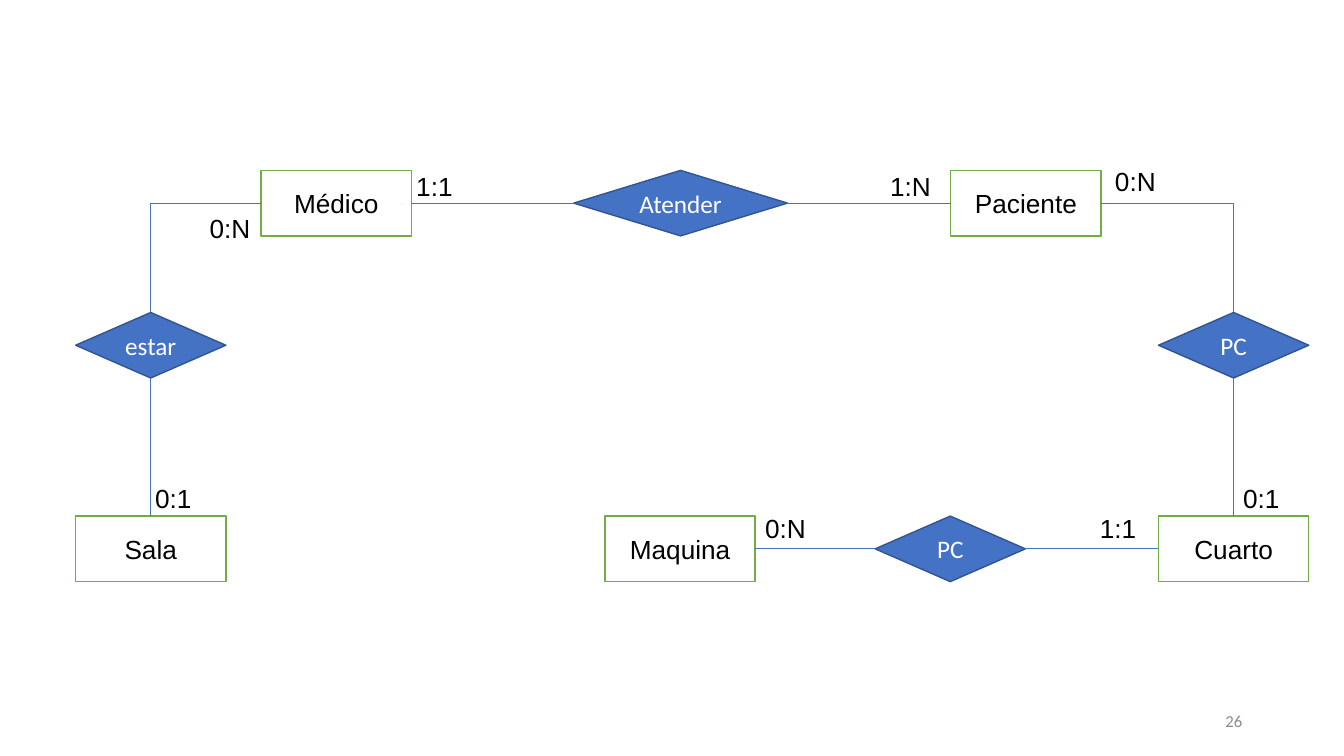
from lxml import etree
from pptx import Presentation
from pptx.dml.color import RGBColor
from pptx.enum.shapes import MSO_CONNECTOR, MSO_SHAPE
from pptx.enum.text import MSO_ANCHOR, PP_ALIGN
from pptx.oxml.ns import qn
from pptx.util import Inches, Pt

COLORS = {
    "white": "FFFFFF",
    "black": "000000",
    "green": "70AD47",
    "blue": "4472C4",
    "dark_blue": "325491",
    "gray": "8C8C8C",
}
NODE_W, NODE_H = 1.49, 0.65
TOP, LEFT, BOTTOM, RIGHT = range(4)  # connection sites

# Rows and columns of the diagram
ROW_1, ROW_2, ROW_3 = 1.69, 3.1, 5.12
COL_LEFT, COL_RIGHT = 0.75, 11.49


def rgb(name):
    return RGBColor.from_string(COLORS[name])


def write(s, text, size=18.7, font="Arial", color="black",
          align=PP_ALIGN.LEFT, anchor=MSO_ANCHOR.TOP):
    tf = s.text_frame
    tf.word_wrap = True
    tf.vertical_anchor = anchor
    p = tf.paragraphs[0]
    p.alignment = align
    r = p.add_run()
    r.text = text
    r.font.size = Pt(size)
    r.font.name = font
    r.font.color.rgb = rgb(color)


def add_node(slide, preset, x, y, w, fill, line):
    s = slide.shapes.add_shape(preset, Inches(x), Inches(y), Inches(w), Inches(NODE_H))
    s.shadow.inherit = False
    s.fill.solid()
    s.fill.fore_color.rgb = rgb(fill)
    s.line.color.rgb = rgb(line)
    s.line.width = Pt(1)
    return s


def add_entity(slide, text, x, y):
    s = add_node(slide, MSO_SHAPE.RECTANGLE, x, y, NODE_W, "white", "green")
    write(s, text, align=PP_ALIGN.CENTER, anchor=MSO_ANCHOR.MIDDLE)
    return s


def add_relation(slide, text, x, y, w=NODE_W):
    s = add_node(slide, MSO_SHAPE.DIAMOND, x, y, w, "blue", "dark_blue")
    write(s, text, size=18, font="Calibri", color="white",
          align=PP_ALIGN.CENTER, anchor=MSO_ANCHOR.MIDDLE)
    return s


def add_text(slide, text, x, y, w=0.79, h=0.42, **fmt):
    s = slide.shapes.add_textbox(Inches(x), Inches(y), Inches(w), Inches(h))
    write(s, text, **fmt)


def add_link(slide, start, start_site, end, end_site, bent=False):
    kind = MSO_CONNECTOR.ELBOW if bent else MSO_CONNECTOR.STRAIGHT
    c = slide.shapes.add_connector(kind, 0, 0, 0, 0)
    c.begin_connect(start, start_site)
    c.end_connect(end, end_site)
    c.line.color.rgb = rgb("blue")
    c.line.width = Pt(0.5)
    sp_pr = c._element.spPr
    if bent:  # a single corner
        sp_pr.find(qn("a:prstGeom")).set("prst", "bentConnector2")
    etree.SubElement(sp_pr, qn("a:effectLst"))


def main():
    prs = Presentation()
    prs.slide_width, prs.slide_height = Inches(13.33), Inches(7.5)
    slide = prs.slides.add_slide(prs.slide_layouts[6])

    # Entities
    medico = add_entity(slide, "Médico", 2.59, ROW_1)
    paciente = add_entity(slide, "Paciente", 9.43, ROW_1)
    sala = add_entity(slide, "Sala", COL_LEFT, ROW_3)
    maquina = add_entity(slide, "Maquina", 6, ROW_3)
    cuarto = add_entity(slide, "Cuarto", COL_RIGHT, ROW_3)

    # Relations
    atender = add_relation(slide, "Atender", 5.69, ROW_1, w=2.12)
    estar = add_relation(slide, "estar", COL_LEFT, ROW_2)
    pc_paciente = add_relation(slide, "PC", COL_RIGHT, ROW_2)
    pc_maquina = add_relation(slide, "PC", 8.68, ROW_3)

    # Links
    add_link(slide, medico, RIGHT, atender, LEFT)
    add_link(slide, atender, RIGHT, paciente, LEFT)
    add_link(slide, medico, LEFT, estar, TOP, bent=True)
    add_link(slide, estar, BOTTOM, sala, TOP)
    add_link(slide, paciente, RIGHT, pc_paciente, TOP, bent=True)
    add_link(slide, pc_paciente, BOTTOM, cuarto, TOP)
    add_link(slide, maquina, RIGHT, pc_maquina, LEFT)
    add_link(slide, pc_maquina, RIGHT, cuarto, LEFT)

    # Cardinalities
    for text, x, y in [
        ("0:N", 1.98, 2.06), ("1:1", 4.03, 1.64),
        ("1:N", 8.73, 1.64), ("0:N", 10.96, 1.59),
        ("0:1", 1.44, 4.74), ("0:1", 12.23, 4.74),
        ("0:N", 7.49, 5.03), ("1:1", 10.81, 5.03),
    ]:
        add_text(slide, text, x, y)

    # Slide number
    add_text(slide, "26", 9.42, 6.95, w=3, h=0.4, size=12, font="Calibri",
             color="gray", align=PP_ALIGN.RIGHT, anchor=MSO_ANCHOR.MIDDLE)

    prs.save("out.pptx")


if __name__ == "__main__":
    main()
